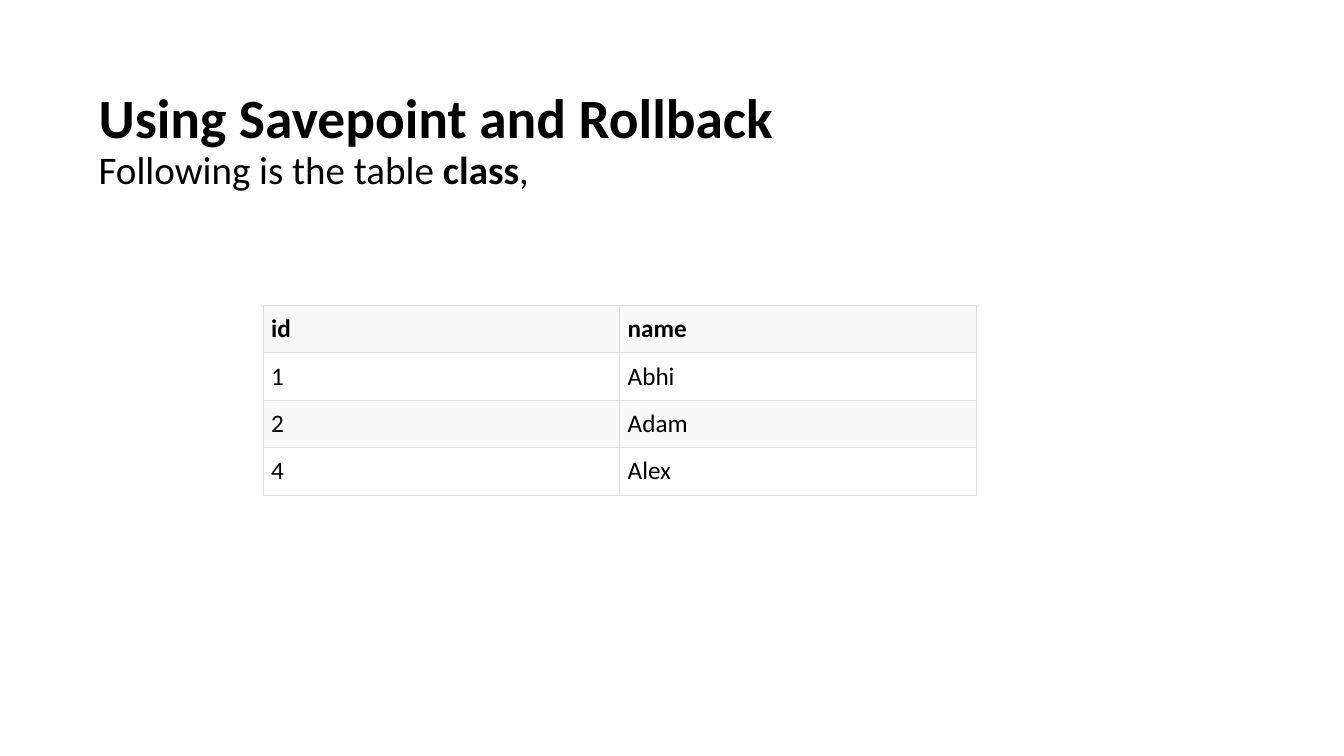
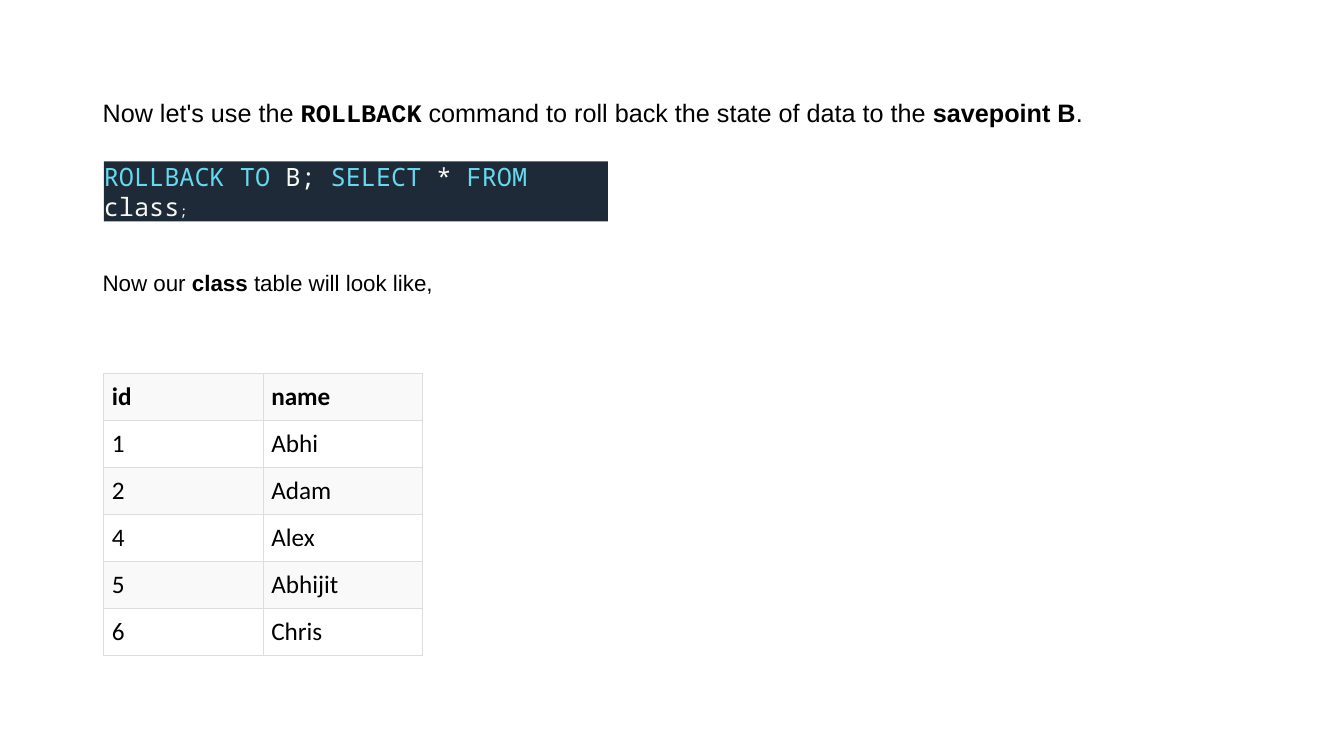
from dataclasses import dataclass
from typing import NamedTuple

from lxml.etree import SubElement
from pptx import Presentation
from pptx.dml.color import RGBColor
from pptx.enum.text import MSO_ANCHOR
from pptx.oxml.ns import qn
from pptx.util import Pt

# Shared look
BLACK, WHITE, GREY, RULE = "000000", "FFFFFF", "F9F9F9", "DDDDDD"
NAVY, CYAN, CREAM = "1E2A37", "66D9EF", "F8F8F2"
BODY, SANS, FIXED, MONO = "Calibri", "Arial", "Courier New", "Noto Sans Mono"
PAD = 5.8


class Run(NamedTuple):
    text: str
    size: float = 18
    font: str = BODY
    bold: bool = False
    hue: str = BLACK


class Pads(NamedTuple):
    left: float = 7.2
    top: float = 3.6
    right: float = 7.2
    base: float = 3.6


@dataclass
class Box:
    left: float
    top: float
    width: float
    height: float
    lines: list[list[Run]]
    fill: str = ""
    pads: Pads = Pads()
    anchor: MSO_ANCHOR = MSO_ANCHOR.MIDDLE
    space: float = 1


@dataclass
class Grid:
    left: float
    top: float
    col: float
    row: float
    data: list[tuple[str, str]]


# Drawing
def paint(fmt, hue: str) -> None:
    fmt.rgb = RGBColor.from_string(hue)


def flood(fill, hue: str) -> None:
    fill.solid()
    paint(fill.fore_color, hue)


def write(para, runs: list[Run]) -> None:
    for item in runs:
        run = para.add_run()
        run.text = item.text
        font = run.font
        font.size, font.name, font.bold = Pt(item.size), item.font, item.bold
        paint(font.color, item.hue)


def draw_box(slide, box: Box) -> None:
    shape = slide.shapes.add_textbox(
        Pt(box.left), Pt(box.top), Pt(box.width), Pt(box.height))
    if box.fill:
        flood(shape.fill, box.fill)
    frame = shape.text_frame
    frame.word_wrap = True
    frame.vertical_anchor = box.anchor
    frame.margin_left, frame.margin_top = Pt(box.pads.left), Pt(box.pads.top)
    frame.margin_right, frame.margin_bottom = Pt(box.pads.right), Pt(box.pads.base)
    for i, runs in enumerate(box.lines):
        para = frame.add_paragraph() if i else frame.paragraphs[0]
        para.line_spacing = box.space
        write(para, runs)


def edge(cell) -> None:
    props = cell._tc.get_or_add_tcPr()
    for side in ("lnL", "lnR", "lnT", "lnB"):
        line = SubElement(props, qn(f"a:{side}"), w=str(Pt(0.75)))
        solid = SubElement(line, qn("a:solidFill"))
        SubElement(solid, qn("a:srgbClr"), val=RULE)


def draw_grid(slide, grid: Grid) -> None:
    rows, cols = len(grid.data), len(grid.data[0])
    table = slide.shapes.add_table(
        rows, cols, Pt(grid.left), Pt(grid.top),
        Pt(grid.col * cols), Pt(grid.row * rows)).table
    table.first_row = table.horz_banding = False
    for r, items in enumerate(grid.data):
        for c, text in enumerate(items):
            cell = table.cell(r, c)
            cell.margin_left = cell.margin_right = Pt(PAD)
            cell.margin_top = cell.margin_bottom = Pt(PAD)
            edge(cell)
            flood(cell.fill, WHITE if r % 2 else GREY)
            write(cell.text_frame.paragraphs[0], [Run(text, bold=r == 0)])


# Content
HEAD = Box(63.4, 43.9, 828, 104.4, [
    [Run("Using Savepoint and Rollback", 39.6, bold=True)],
    [Run("Following is the table ", 27.9), Run("class", 27.9, bold=True),
     Run(",", 27.9)],
], pads=Pads(top=21), anchor=MSO_ANCHOR.TOP, space=0.9)

LEAD = Box(66.2, 66.2, 735.8, 28.8, [[
    Run("Now let's use the ", font=SANS),
    Run("ROLLBACK", font=FIXED, bold=True),
    Run(" command to roll back the state of data to the ", font=SANS),
    Run("savepoint B", font=SANS, bold=True),
    Run(".", font=SANS),
]], fill=WHITE)

CODE = Box(74.2, 115.3, 360, 42.8, [[
    Run("ROLLBACK TO", font=MONO, hue=CYAN),
    Run(" B; ", font=MONO, hue=CREAM),
    Run("SELECT", font=MONO, hue=CYAN),
    Run(" * ", font=MONO, hue=CREAM),
    Run("FROM", font=MONO, hue=CYAN),
    Run(" class", font=MONO, hue=CREAM),
    Run(";", 10, MONO, hue=CREAM),
]], fill=NAVY, pads=Pads(0, 0, 0, 0))

NOTE = Box(66.2, 188.6, 429, 26.6, [[
    Run("Now our ", 16, SANS), Run("class", 16, SANS, True),
    Run(" table will look like,", 16, SANS),
]])

FIRST = [("id", "name"), ("1", "Abhi"), ("2", "Adam"), ("4", "Alex")]
AFTER = FIRST + [("5", "Abhijit"), ("6", "Chris")]

PAGES = [
    ([HEAD], Grid(187.9, 218.2, 254.7, 33.9, FIRST)),
    ([LEAD, CODE, NOTE], Grid(74.2, 266.9, 113.8, 33.6, AFTER)),
]

# Build
deck = Presentation()
deck.slide_width, deck.slide_height = Pt(960), Pt(540)
for boxes, grid in PAGES:
    slide = deck.slides.add_slide(deck.slide_layouts[6])
    for box in boxes:
        draw_box(slide, box)
    draw_grid(slide, grid)
deck.save("out.pptx")
